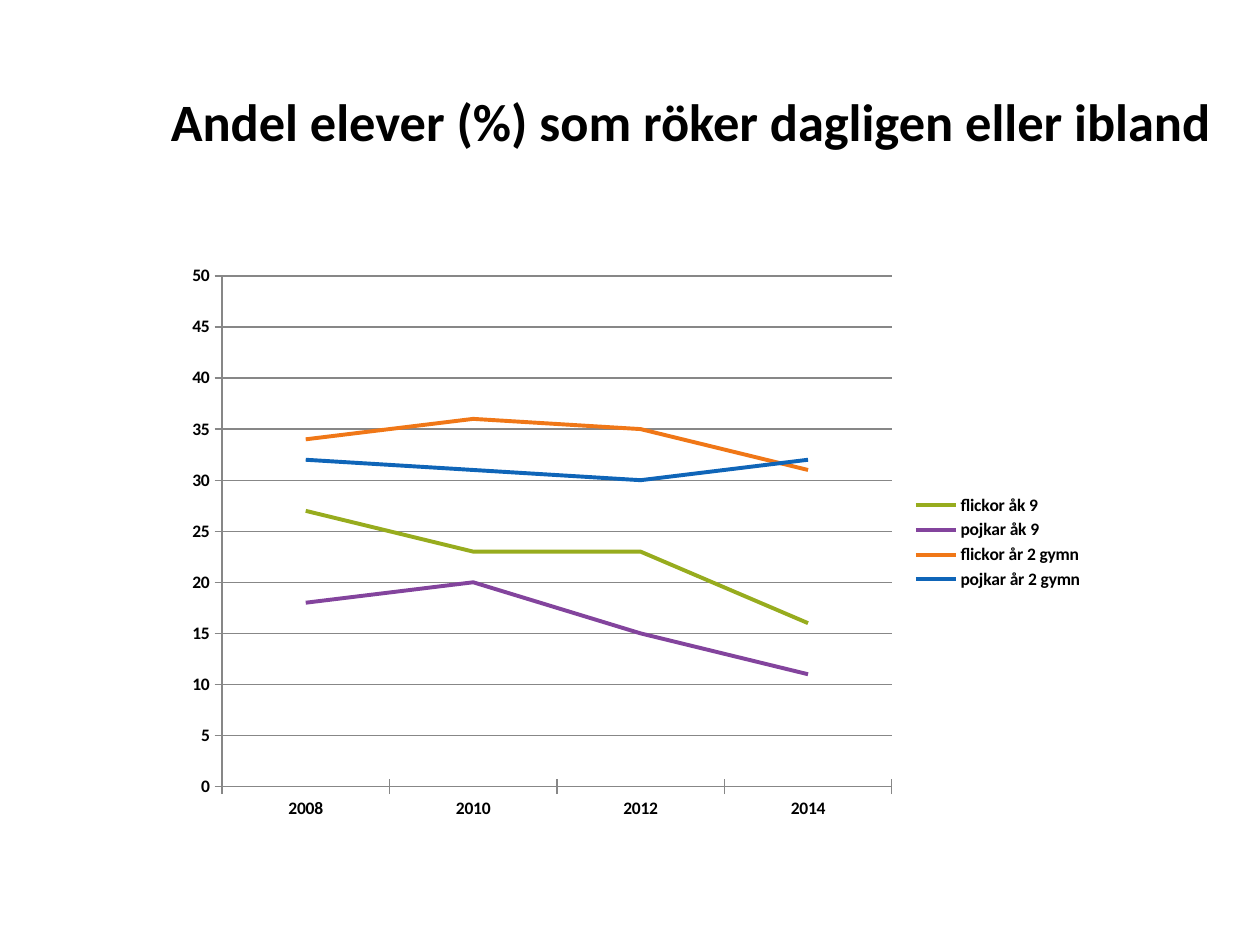
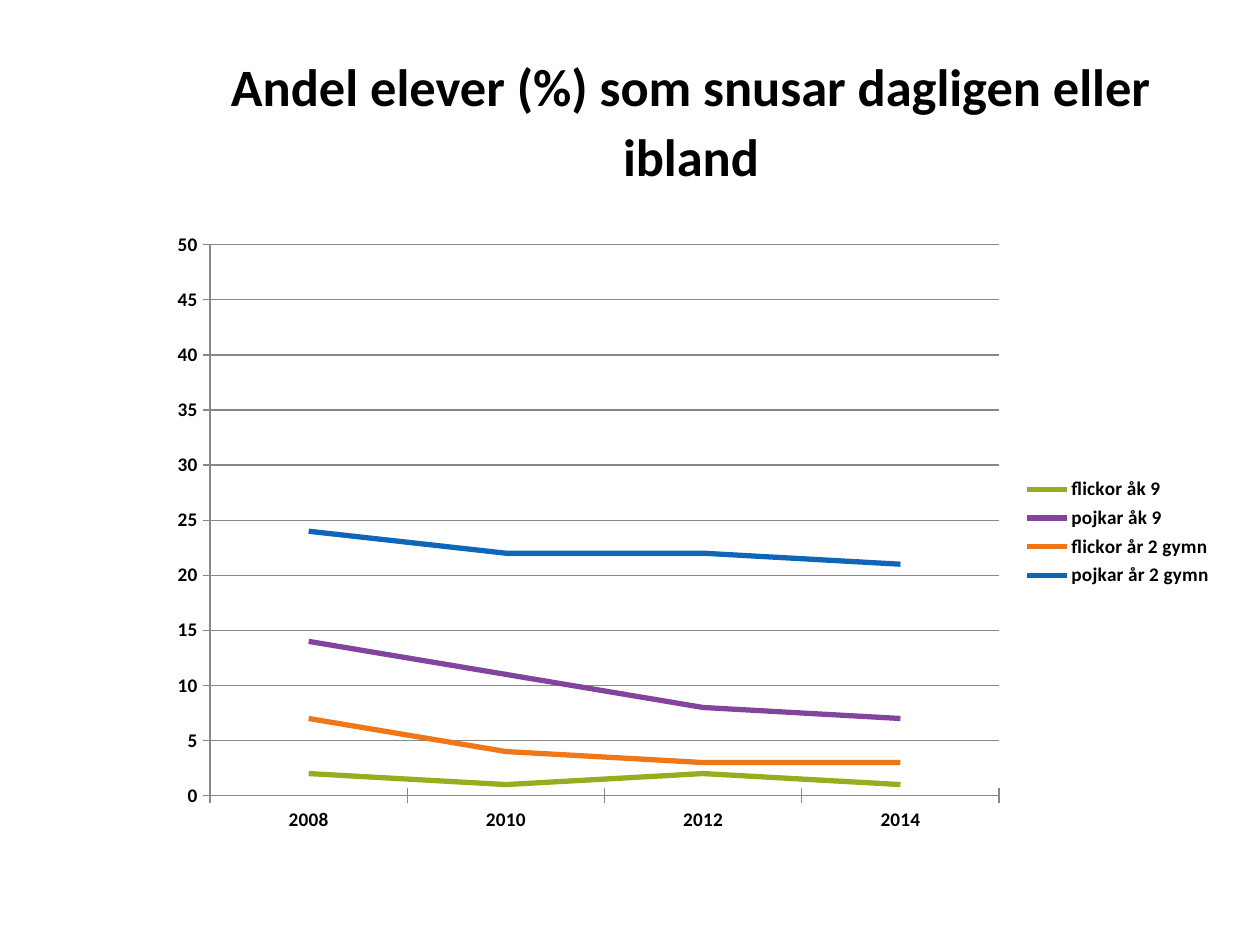
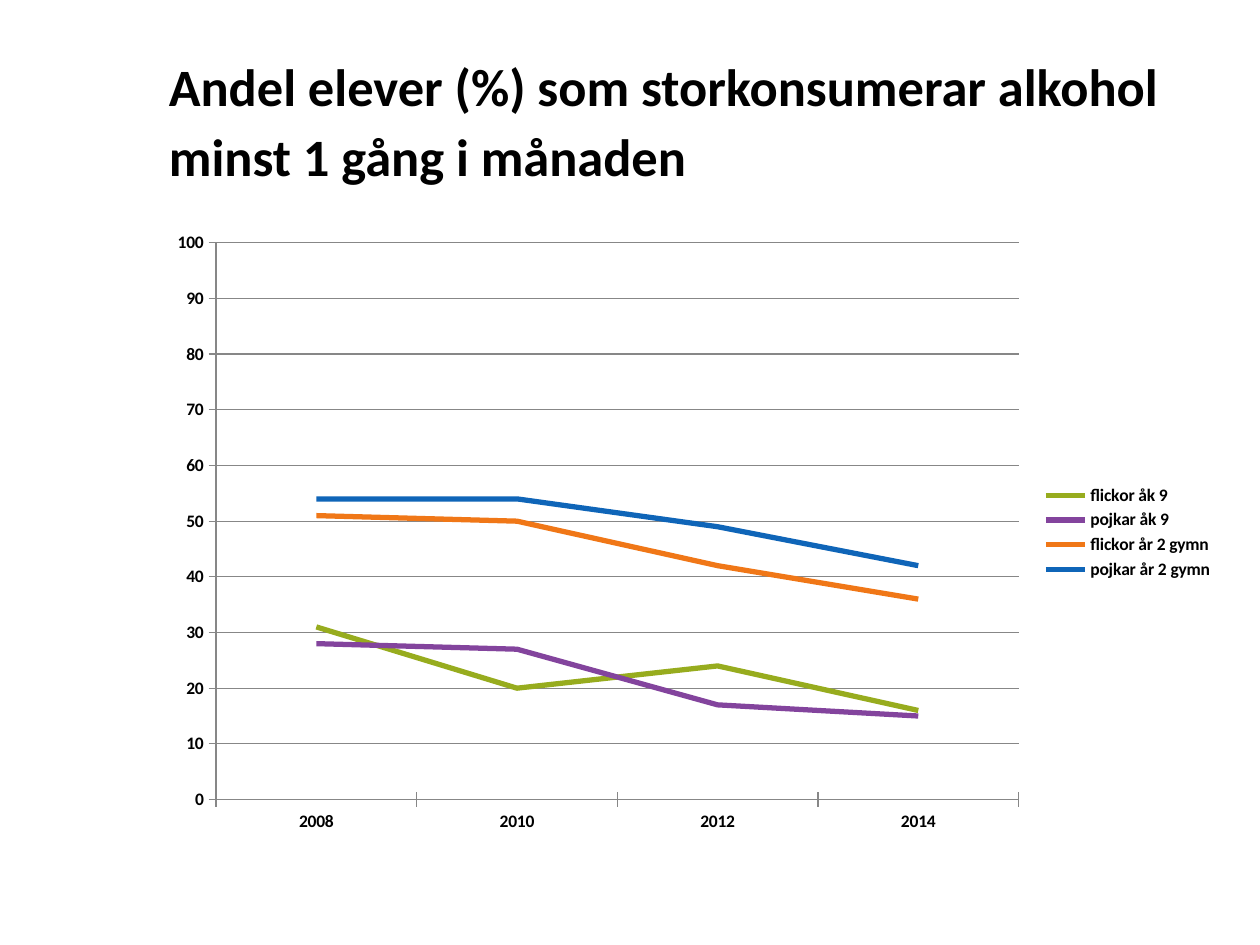
import pptx
import pptx.chart.data
import pptx.dml.color
import pptx.enum.chart
import pptx.enum.text
import pptx.util

EMU_PER_PX = 9144  # 100 px to the inch
TITLE_ONLY = 5
COLORS = {
    "text": "000000",
    "background": "FFFFFF",
    "grid": "878787",
    "flickor åk 9": "97AC1E",
    "pojkar åk 9": "83449D",
    "flickor år 2 gymn": "F07717",
    "pojkar år 2 gymn": "0F65B8",
}
GROUPS = ["flickor åk 9", "pojkar åk 9", "flickor år 2 gymn", "pojkar år 2 gymn"]
YEARS = ["2008", "2010", "2012", "2014"]
TITLE_BOX = (124, 30, 849, 125)
CHART_BOX = (124, 175, 849, 495)
ALIGN = pptx.enum.text.PP_ALIGN


def px(length):
    return pptx.util.Emu(length * EMU_PER_PX)


def color(name):
    return pptx.dml.color.RGBColor.from_string(COLORS[name])


def format_font(font, size, name="Calibri", bold=True, fill="text"):
    font.name = name
    font.size = pptx.util.Pt(size)
    font.bold = bold
    font.color.rgb = color(fill)


def write_text(para, text, size=30, align=ALIGN.CENTER, line_spacing=40, **font_format):
    para.alignment = align
    para.line_spacing = pptx.util.Pt(line_spacing)
    span = para.add_run()
    span.text = text
    format_font(span.font, size, **font_format)


class SurveyDeck:
    """Holds the shared style and the current page."""

    def __init__(self):
        self.deck = pptx.Presentation()
        self.deck.slide_width = px(1000)
        self.deck.slide_height = px(750)
        self.page = None

    def add_page(self):
        self.page = self.deck.slides.add_slide(self.deck.slide_layouts[TITLE_ONLY])
        fill = self.page.background.fill
        fill.solid()
        fill.fore_color.rgb = color("background")

    def add_title(self, text, **text_format):
        box = self.page.shapes.title
        box.left, box.top, box.width, box.height = map(px, TITLE_BOX)
        frame = box.text_frame
        frame.word_wrap = True
        frame.auto_size = pptx.enum.text.MSO_AUTO_SIZE.NONE
        frame.vertical_anchor = pptx.enum.text.MSO_ANCHOR.MIDDLE
        write_text(frame.paragraphs[0], text, **text_format)

    def add_line_chart(self, shares, box=CHART_BOX, size=10, line_width=3,
                       minimum=None, maximum=50):
        data = pptx.chart.data.CategoryChartData()
        data.categories = YEARS
        for group, values in zip(GROUPS, shares):
            data.add_series(group, values)
        chart = self.page.shapes.add_chart(
            pptx.enum.chart.XL_CHART_TYPE.LINE, *map(px, box), data).chart
        chart.has_title = False
        format_font(chart.font, size)

        # Legend
        chart.has_legend = True
        chart.legend.position = pptx.enum.chart.XL_LEGEND_POSITION.RIGHT
        chart.legend.include_in_layout = False

        # Axes
        for axis in (chart.category_axis, chart.value_axis):
            axis.major_tick_mark = pptx.enum.chart.XL_TICK_MARK.CROSS
            self.format_line(axis.format.line, "grid", 0.75)
        value_axis = chart.value_axis
        value_axis.minimum_scale = minimum
        value_axis.maximum_scale = maximum
        value_axis.has_major_gridlines = True
        self.format_line(value_axis.major_gridlines.format.line, "grid", 0.75)

        # Series
        chart.plots[0].vary_by_categories = False
        for series in chart.plots[0].series:
            series.smooth = False
            self.format_line(series.format.line, series.name, line_width)

    def format_line(self, line, color_name, width):
        line.color.rgb = color(color_name)
        line.width = pptx.util.Pt(width)


def main():
    survey = SurveyDeck()

    # Smoking
    survey.add_page()
    survey.add_title("Andel elever (%) som röker dagligen eller ibland")
    survey.add_line_chart(
        [(27, 23, 23, 16), (18, 20, 15, 11), (34, 36, 35, 31), (32, 31, 30, 32)],
        box=(138, 202, 732, 457), line_width=2.25)

    # Snus
    survey.add_page()
    survey.add_title("Andel elever (%) som snusar dagligen eller ibland")
    survey.add_line_chart(
        [(2, 1, 2, 1), (14, 11, 8, 7), (7, 4, 3, 3), (24, 22, 22, 21)], size=11)

    # Alcohol
    survey.add_page()
    survey.add_title("Andel elever (%) som storkonsumerar alkohol minst 1 gång i månaden",
                     align=ALIGN.LEFT)
    survey.add_line_chart(
        [(31, 20, 24, 16), (28, 27, 17, 15), (51, 50, 42, 36), (54, 54, 49, 42)],
        minimum=0, maximum=100)

    survey.deck.save("out.pptx")


if __name__ == "__main__":
    main()
